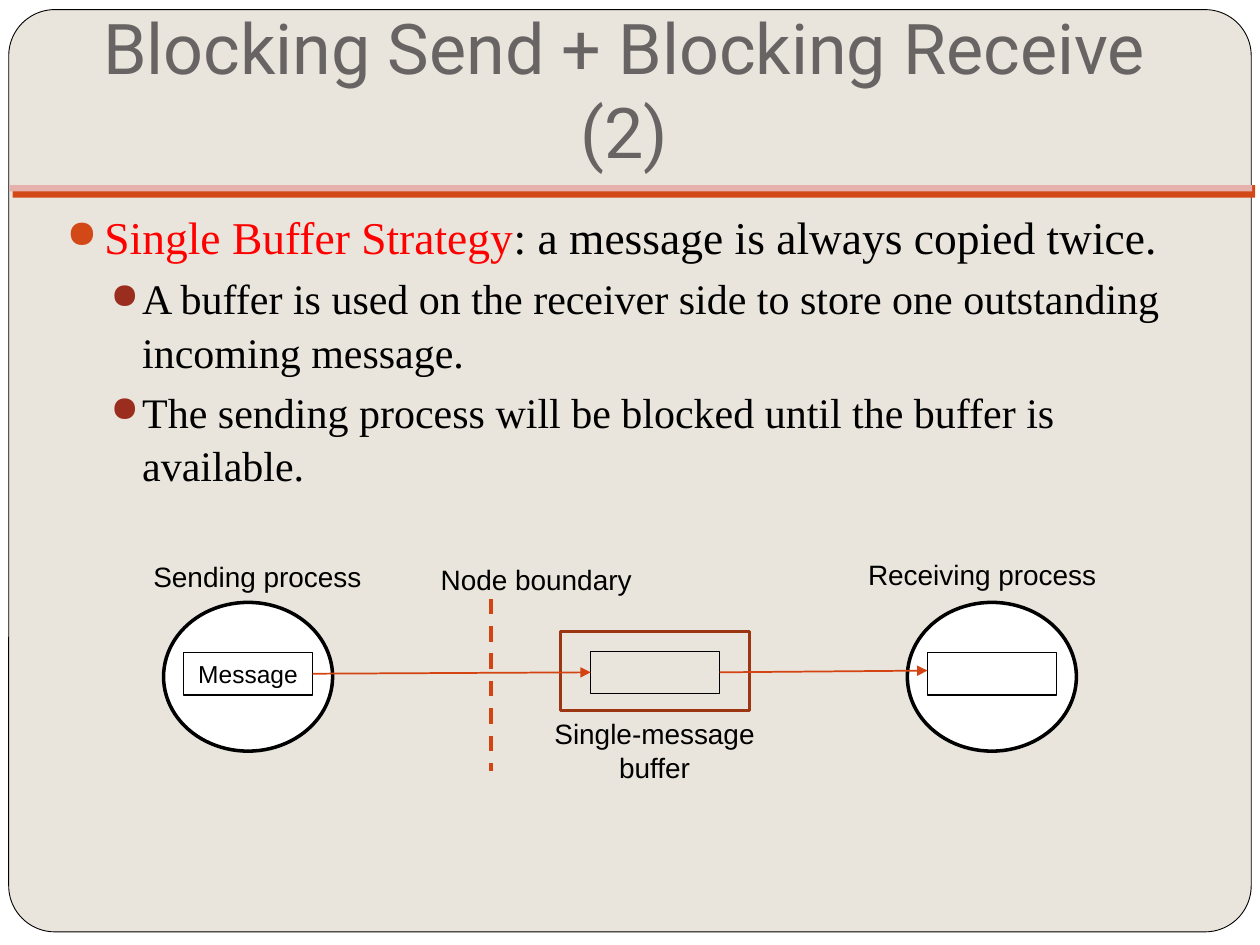
from lxml import etree
from pptx import Presentation
from pptx import util as u
from pptx.dml.color import RGBColor
from pptx.enum import dml, shapes, text
from pptx.oxml.ns import qn

ORANGE = "D34412"
RECTANGLE = shapes.MSO_SHAPE.RECTANGLE


def color(value):
    return RGBColor.from_string(value)


def add_xml(parent, tag, **attributes):
    return etree.SubElement(parent, qn(tag), attributes)


class SlideBuilder:
    label_font = "Arial"
    body_font = "Times New Roman"
    title_font = "Roboto"
    ink = "000000"

    def __init__(self, slide):
        self.slide = slide

    def format_font(self, font, name, size, value):
        font.name = name
        font.size = u.Pt(size)
        font.color.rgb = color(value)

    def place(self, shape, box):
        shape.left, shape.top, shape.width, shape.height = map(u.Pt, box)

    def title(self, words, box):
        shape = self.slide.shapes.title
        self.place(shape, box)
        frame = shape.text_frame
        frame.text = words
        frame.auto_size = text.MSO_AUTO_SIZE.NONE
        frame.vertical_anchor = text.MSO_ANCHOR.BOTTOM
        frame.margin_bottom = u.Pt(7.2)
        paragraph = frame.paragraphs[0]
        paragraph.alignment = text.PP_ALIGN.CENTER
        self.format_font(paragraph.runs[0].font, self.title_font, 40, "696464")
        # Bring the title in front of the panel
        shape.element.getparent().append(shape.element)

    def shape(self, kind, box, fill=None, line=None, width=0.75):
        shape = self.slide.shapes.add_shape(kind, *map(u.Pt, box))
        shape.shadow.inherit = False
        if fill:
            shape.fill.solid()
            shape.fill.fore_color.rgb = color(fill)
        else:
            shape.fill.background()
        if line:
            shape.line.color.rgb = color(line)
            shape.line.width = u.Pt(width)
        else:
            shape.line.fill.background()
        return shape

    def centered_text(self, shape, words, size):
        """Centre one paragraph per line of words in the shape."""
        frame = shape.text_frame
        frame.word_wrap = True
        frame.margin_left = frame.margin_right = 0
        frame.text = words
        for paragraph in frame.paragraphs:
            paragraph.alignment = text.PP_ALIGN.CENTER
            self.format_font(paragraph.runs[0].font, self.label_font, size, self.ink)

    def label(self, words, box):
        self.centered_text(self.slide.shapes.add_textbox(*map(u.Pt, box)), words, 16)

    def bullets(self, items, box):
        """Each item is a level and a list of (words, colour) pieces."""
        styles = [(26, 21.6, -21.6, 5.8, "D34817"), (24, 43.2, -18, 3.8, "9B2D1F")]
        frame = self.slide.shapes.add_textbox(*map(u.Pt, box)).text_frame
        frame.word_wrap = True
        for index, (level, pieces) in enumerate(items):
            size, margin, indent, space, bullet_color = styles[level]
            paragraph = frame.add_paragraph() if index else frame.paragraphs[0]
            paragraph.level = level
            paragraph.line_spacing = 1.06
            if index:
                paragraph.space_before = u.Pt(space)
            properties = paragraph._p.get_or_add_pPr()
            properties.set("marL", str(u.Pt(margin)))
            properties.set("indent", str(u.Pt(indent)))
            bullet = add_xml(properties, "a:buClr")
            add_xml(bullet, "a:srgbClr", val=bullet_color)
            add_xml(properties, "a:buSzPct", val="85000")
            add_xml(properties, "a:buChar", char="●")
            for words, value in pieces:
                run = paragraph.add_run()
                run.text = words
                self.format_font(run.font, self.body_font, size, value)

    def line(self, start, end, width, dashed=False, arrow=False):
        connector = self.slide.shapes.add_connector(
            shapes.MSO_CONNECTOR.STRAIGHT, *map(u.Pt, start + end))
        connector.line.color.rgb = color(ORANGE)
        connector.line.width = u.Pt(width)
        if dashed:
            connector.line.dash_style = dml.MSO_LINE.DASH
        if arrow:
            add_xml(connector.line._get_or_add_ln(), "a:tailEnd", type="triangle")
        add_xml(connector._element.spPr, "a:effectLst")


def main():
    presentation = Presentation()
    presentation.slide_width, presentation.slide_height = u.Pt(720), u.Pt(540)
    slide = presentation.slides.add_slide(presentation.slide_layouts[5])
    builder = SlideBuilder(slide)
    ink = builder.ink

    panel = builder.shape(shapes.MSO_SHAPE.ROUNDED_RECTANGLE,
                          (5, 5.5, 710, 527), "E9E5DC", ink, 0.5)
    panel.adjustments[0] = 0.05
    builder.shape(RECTANGLE, (7.2, 105.8, 710, 7.2), "D34817")
    builder.shape(RECTANGLE, (5.5, 105.8, 710, 3.6), "E6B1AC")

    builder.title("Blocking Send + Blocking Receive (2)", (25.2, 37.4, 663, 68.4))
    builder.bullets([
        (0, [("Single Buffer Strategy", "FF0000"),
             (": a message is always copied twice.", ink)]),
        (1, [("A buffer is used on the receiver side to store one outstanding "
              "incoming message.", ink)]),
        (1, [("The sending process will be blocked until the buffer is "
              "available.", ink)]),
    ], (31, 113.8, 653, 144.7))

    slot_width, slot_height = 73.6, 24.2
    sender_left, buffer_left, receiver_left = 105, 337.6, 530
    for slot_left in (sender_left, receiver_left):
        builder.shape(shapes.MSO_SHAPE.OVAL, (slot_left - 11.5, 344.2, 96.6, 85),
                      "FFFFFF", ink, 2)
    slots = [builder.shape(RECTANGLE, (left, top, slot_width, slot_height), line=ink)
             for left, top in ((sender_left, 373), (buffer_left, 372.2),
                               (receiver_left, 373))]
    builder.centered_text(slots[0], "Message", 14)
    builder.shape(RECTANGLE, (320.2, 360.8, 108, 45.2), line="9C3511", width=1.5)

    builder.line((280.6, 342), (280.6, 440.6), 2.25, dashed=True)
    builder.line((sender_left + slot_width, 385), (buffer_left, 384.2), 1, arrow=True)
    builder.line((buffer_left + slot_width, 384.2), (receiver_left, 383.2), 1, arrow=True)

    for words, box in (
        ("Sending process", (70.6, 316.4, 153, 26.6)),
        ("Receiving process", (473.4, 315.2, 175.6, 26.6)),
        ("Node boundary", (241.2, 317.8, 130.3, 26.6)),
        ("Single-message\nbuffer", (308.9, 406, 130.3, 46)),
    ):
        builder.label(words, box)

    presentation.save("out.pptx")


if __name__ == "__main__":
    main()
